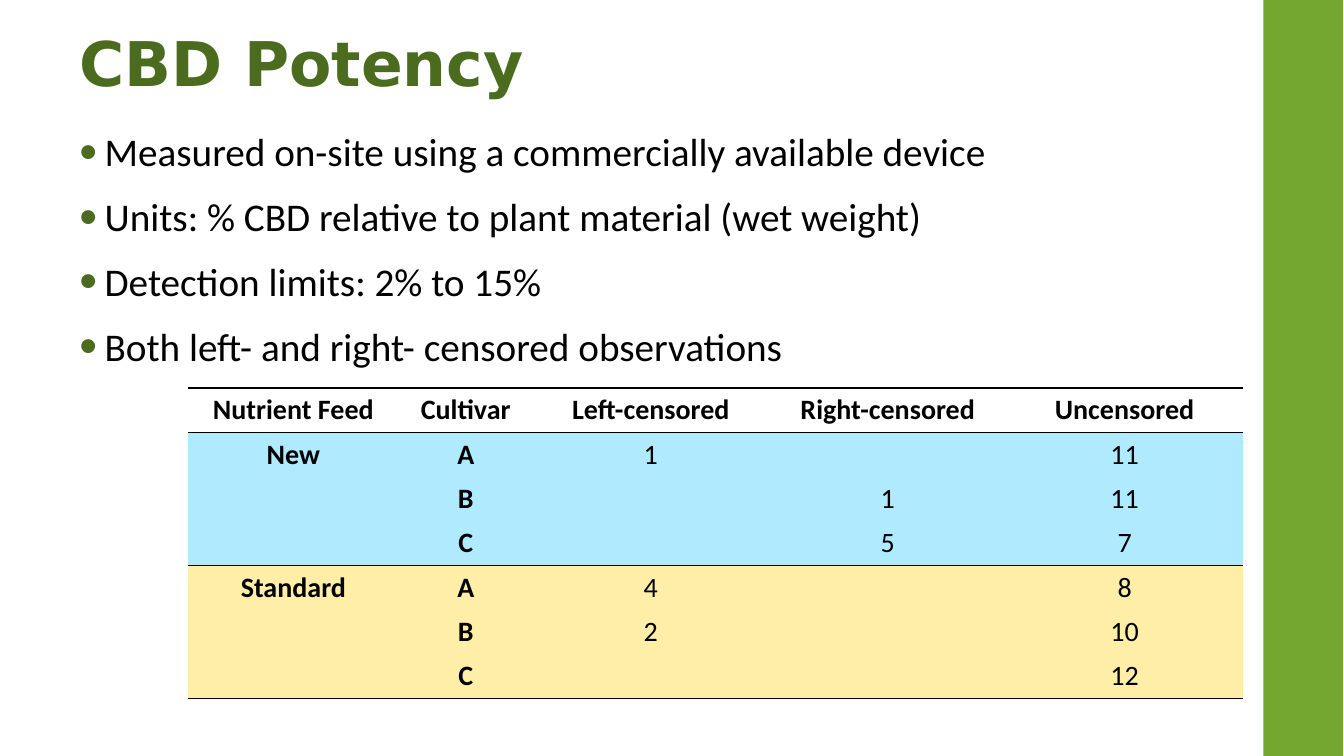
from lxml import etree
from pptx import Presentation
from pptx.dml.color import RGBColor
from pptx.enum.shapes import MSO_SHAPE
from pptx.enum.text import MSO_ANCHOR, PP_ALIGN
from pptx.oxml.ns import qn
from pptx.util import Inches, Pt

RECT = MSO_SHAPE.RECTANGLE
MIDDLE = MSO_ANCHOR.MIDDLE
TOP = MSO_ANCHOR.TOP
LEFT = PP_ALIGN.LEFT
CENTER = PP_ALIGN.CENTER
PLAIN = "{2D5ABB26-0587-4C30-8999-92F81FD0307C}"
COLORS = {"leaf": "74A72F", "moss": "4B6C1E", "ink": "000000",
          "new": "AFEAFF", "standard": "FFEEA7"}
POINTS = [
    "Measured on-site using a commercially available device",
    "Units: % CBD relative to plant material (wet weight)",
    "Detection limits: 2% to 15%",
    "Both left- and right- censored observations",
]
HEADS = ["Nutrient Feed", "Cultivar", "Left-censored", "Right-censored", "Uncensored"]
FEEDS = {
    "New": [("A", "1", "", "11"), ("B", "", "1", "11"), ("C", "", "5", "7")],
    "Standard": [("A", "4", "", "8"), ("B", "2", "", "10"), ("C", "", "", "12")],
}
WIDTHS = [2.1, 1.32, 2.35, 2.35, 2.35]
ROW = 0.44


def color(name):
    return RGBColor.from_string(COLORS[name])


def add(parent, tag, **attrs):
    node = etree.SubElement(parent, qn(tag))
    for key, value in attrs.items():
        node.set(key, value)
    return node


def write(par, text, size=20, font="Calibri", ink="ink", bold=False, align=LEFT):
    par.alignment = align
    run = par.add_run()
    run.text = text
    run.font.size = Pt(size)
    run.font.name = font
    run.font.bold = bold
    run.font.color.rgb = color(ink)


class Deck:
    """Holds the style and the current slide."""

    def __init__(self, slide):
        self.slide = slide

    def bar(self, x, y, w, h, fill):
        shape = self.slide.shapes.add_shape(RECT, Inches(x), Inches(y), Inches(w), Inches(h))
        shape.shadow.inherit = False
        shape.fill.solid()
        shape.fill.fore_color.rgb = color(fill)
        shape.line.fill.background()

    def box(self, x, y, w, h, anchor=TOP):
        frame = self.slide.shapes.add_textbox(
            Inches(x), Inches(y), Inches(w), Inches(h)).text_frame
        frame.word_wrap = True
        frame.vertical_anchor = anchor
        return frame

    def title(self, text):
        par = self.box(0.69, 0.15, 11.5, 1.03, MIDDLE).paragraphs[0]
        par.line_spacing = 0.9
        write(par, text, size=44, font="DejaVu Sans", ink="moss", bold=True)

    def bullets(self, items):
        frame = self.box(0.69, 1.27, 11.5, 5.16)
        for i, item in enumerate(items):
            par = frame.add_paragraph() if i else frame.paragraphs[0]
            par.line_spacing = 0.9
            par.space_before = Pt(10)
            par.space_after = Pt(6)
            write(par, item, size=28)
            props = par._p.get_or_add_pPr()
            props.set("marL", str(Inches(0.25)))
            props.set("indent", str(Inches(-0.25)))
            add(add(props, "a:buClr"), "a:srgbClr", val=COLORS["moss"])
            add(props, "a:buSzPct", val="130000")
            add(props, "a:buFont", typeface="Arial")
            add(props, "a:buChar", char="•")

    def edge(self, cell, tag):
        props = cell._tc.get_or_add_tcPr()
        line = add(props, tag, w=str(Pt(1)))
        add(add(line, "a:solidFill"), "a:srgbClr", val=COLORS["ink"])
        props.insert(0, line)

    def cell(self, cell, text, fill, bold):
        if fill:
            cell.fill.solid()
            cell.fill.fore_color.rgb = color(fill)
        else:
            cell.fill.background()
        if text:
            write(cell.text_frame.paragraphs[0], text, bold=bold, align=CENTER)

    def table(self, x, y, heads, feeds):
        rows = [(heads, None, True)]
        for feed, lines in feeds.items():
            for i, line in enumerate(lines):
                name = "" if i else feed
                rows.append(((name, *line), feed.lower(), i == len(lines) - 1))
        frame = self.slide.shapes.add_table(
            len(rows), len(heads), Inches(x), Inches(y),
            Inches(sum(WIDTHS)), Inches(ROW * len(rows)))
        grid = frame.table
        grid.horz_banding = False
        grid._tbl.tblPr.find(qn("a:tableStyleId")).text = PLAIN
        for col, width in zip(grid.columns, WIDTHS):
            col.width = Inches(width)
        for r, (texts, fill, last) in enumerate(rows):
            grid.rows[r].height = Inches(ROW)
            for c, text in enumerate(texts):
                cell = grid.cell(r, c)
                self.cell(cell, text, fill, bold=r == 0 or c < 2)
                if last:
                    self.edge(cell, "a:lnB")
                if r == 0:
                    self.edge(cell, "a:lnT")


def main():
    prs = Presentation()
    prs.slide_width = Inches(13.33)
    prs.slide_height = Inches(7.5)
    deck = Deck(prs.slides.add_slide(prs.slide_layouts[6]))
    deck.bar(12.53, 0, 0.79, 7.5, "leaf")
    deck.title("CBD Potency")
    deck.bullets(POINTS)
    deck.table(1.86, 3.85, HEADS, FEEDS)
    prs.save("out.pptx")


if __name__ == "__main__":
    main()
